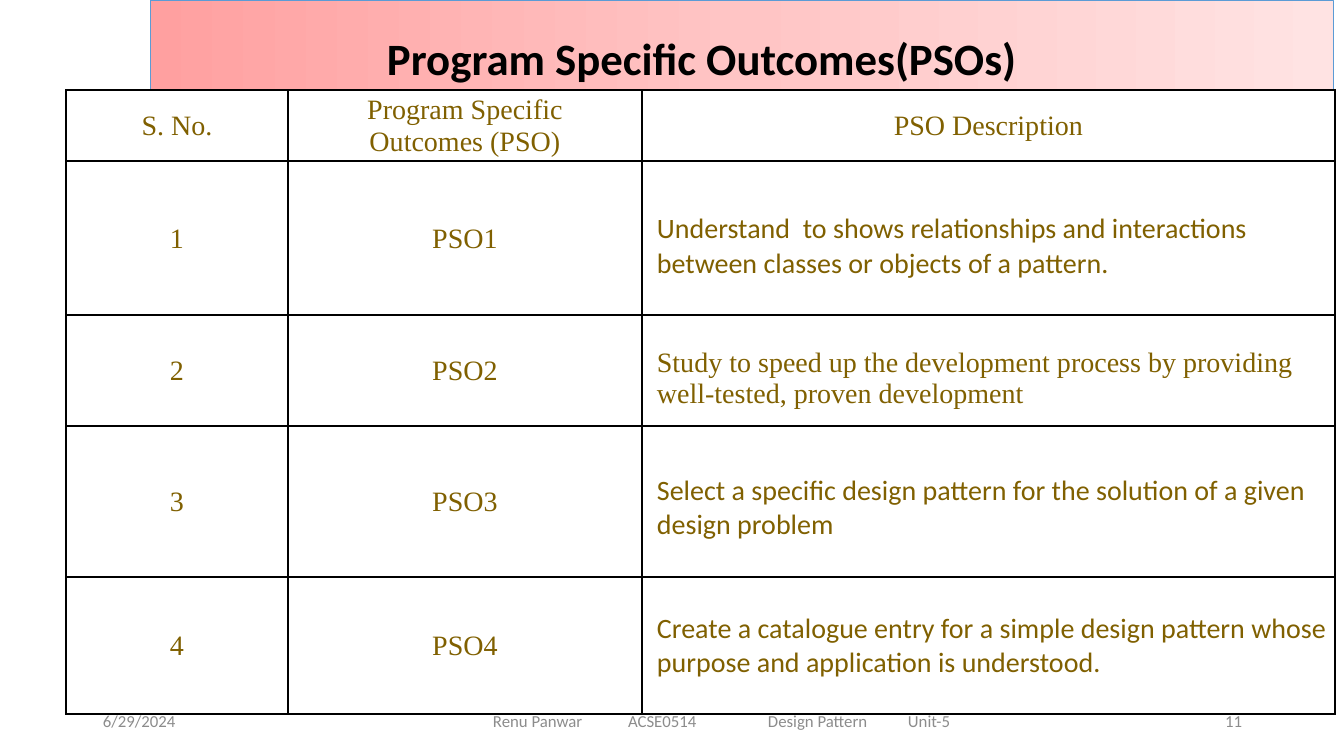
from copy import deepcopy
from typing import NamedTuple

from pptx import Presentation
from pptx.dml.color import RGBColor
from pptx.enum.shapes import MSO_SHAPE as Shape
from pptx.enum.text import MSO_ANCHOR as Anchor, MSO_AUTO_SIZE as AutoSize, PP_ALIGN as Align
from pptx.oxml import parse_xml
from pptx.oxml.ns import nsdecls, qn
from pptx.util import Emu, Pt

EMU_PER_PX = 9071
COLORS = {
    "pink_start": "FFA0A0", "pink_middle": "FFC5C5", "pink_end": "FFE3E3",
    "banner_line": "5B9BD5", "footer": "8C8C8C", "table_text": "806000",
    "black": "000000", "white": "FFFFFF",
}
SANS, SERIF = "Calibri", "Times New Roman"
CELL_INSET = 7
DESCRIPTION_INDENT = 15


class Outcome(NamedTuple):
    number: int
    description: str
    font: str
    height: int
    text_top: int


class Footer(NamedTuple):
    text: str
    left: int
    width: int
    align: Align
    inset: int = 10
    tabs: tuple[int, ...] = ()


HEADINGS = ("S. No.", "Program Specific\nOutcomes (PSO)", "PSO Description")
HEADING_HEIGHT = 71
COLUMN_WIDTHS = (222, 354, 693)
OUTCOMES = (
    Outcome(1, "Understand  to shows relationships and interactions between classes "
               "or objects of a pattern.", SANS, 154, 51),
    Outcome(2, "Study to speed up the development process by providing well-tested, "
               "proven development", SERIF, 111, 32),
    Outcome(3, "Select a specific design pattern for the solution of a given "
               "design problem", SANS, 151, 48),
    Outcome(4, "Create a catalogue entry for a simple design pattern whose purpose "
               "and application is understood.", SANS, 137, 35),
)
FOOTERS = (
    Footer("6/29/2024", 93, 302, Align.LEFT),
    Footer("Renu Panwar\tACSE0514\tDesign Pattern\tUnit-5", 446, 554, Align.LEFT,
           inset=47, tabs=(135, 275, 415)),
    Footer("11", 950, 302, Align.RIGHT),
)


def px(length: int) -> Emu:
    return Emu(length * EMU_PER_PX)


def color(name: str) -> RGBColor:
    return RGBColor.from_string(COLORS[name])


def write(frame, text: str, *, size: int, font: str, ink: str, align=Align.LEFT,
          bold=False, spacing=1.0, tabs=()) -> None:
    """Fill a text frame, one paragraph for each line of text."""
    frame.word_wrap = True
    for index, line in enumerate(text.split("\n")):
        para = frame.add_paragraph() if index else frame.paragraphs[0]
        para.alignment = align
        para.line_spacing = spacing
        if tabs:
            stops = "".join(f'<a:tab pos="{px(stop)}" algn="l"/>' for stop in tabs)
            properties = para._p.get_or_add_pPr()
            properties.append(parse_xml(f'<a:tabLst {nsdecls("a")}>{stops}</a:tabLst>'))
        span = para.add_run()
        span.text = line
        span.font.size = Pt(size)
        span.font.name = font
        span.font.bold = bold
        span.font.color.rgb = color(ink)


def add_banner(page) -> None:
    banner = page.shapes.add_shape(Shape.RECTANGLE, px(150), 0, px(1183), px(100))
    banner.shadow.inherit = False
    banner.line.color.rgb = color("banner_line")
    banner.line.width = Pt(0.5)
    banner.fill.gradient()
    banner.fill.gradient_angle = 0
    stop_list = banner.element.spPr.find(f'.//{qn("a:gsLst")}')
    stop_list.insert(1, deepcopy(stop_list[0]))
    names = ("pink_start", "pink_middle", "pink_end")
    for index, (stop, name) in enumerate(zip(banner.fill.gradient_stops, names)):
        stop.position = index / 2
        stop.color.rgb = color(name)


def add_footer(page, footer: Footer) -> None:
    box = page.shapes.add_textbox(px(footer.left), px(701), px(footer.width), px(40))
    frame = box.text_frame
    frame.vertical_anchor = Anchor.MIDDLE
    frame.margin_left = px(footer.inset)
    write(frame, footer.text, size=12, font=SANS, ink="footer",
          align=footer.align, tabs=footer.tabs)


def style_cell(cell, *, left=CELL_INSET, top=0, anchor=Anchor.MIDDLE) -> None:
    """Set the insets, the four borders and the fill of a cell."""
    cell.margin_left, cell.margin_right = px(left), px(CELL_INSET)
    cell.margin_top, cell.margin_bottom = px(top), 0
    cell.vertical_anchor = anchor
    for side in "LRTB":
        cell._tc.get_or_add_tcPr().append(parse_xml(
            f'<a:ln{side} {nsdecls("a")} w="{Pt(1)}"><a:solidFill>'
            f'<a:srgbClr val="{COLORS["black"]}"/></a:solidFill></a:ln{side}>'))
    cell.fill.solid()
    cell.fill.fore_color.rgb = color("white")


def add_centred_cell(cell, text: str) -> None:
    style_cell(cell)
    write(cell.text_frame, text, size=20, font=SERIF, ink="table_text",
          align=Align.CENTER, spacing=1.04)


def add_outcome_table(page) -> None:
    heights = (HEADING_HEIGHT, *(outcome.height for outcome in OUTCOMES))
    table = page.shapes.add_table(
        len(heights), len(COLUMN_WIDTHS), px(66), px(90),
        px(sum(COLUMN_WIDTHS)), px(sum(heights))).table
    table.first_row = table.horz_banding = False
    for column, width in zip(table.columns, COLUMN_WIDTHS):
        column.width = px(width)
    for row, height in zip(table.rows, heights):
        row.height = px(height)
    for index, heading in enumerate(HEADINGS):
        add_centred_cell(table.cell(0, index), heading)
    for row, outcome in enumerate(OUTCOMES, start=1):
        add_centred_cell(table.cell(row, 0), str(outcome.number))
        add_centred_cell(table.cell(row, 1), f"PSO{outcome.number}")
        cell = table.cell(row, 2)
        style_cell(cell, left=DESCRIPTION_INDENT, top=outcome.text_top, anchor=Anchor.TOP)
        write(cell.text_frame, outcome.description, size=20, font=outcome.font,
              ink="table_text")


def place_title(page) -> None:
    title = page.shapes.title
    title.left, title.top, title.width, title.height = map(px, (366, 26, 672, 64))
    title.text_frame.vertical_anchor = Anchor.TOP
    title.text_frame.auto_size = AutoSize.SHAPE_TO_FIT_TEXT
    write(title.text_frame, "Program Specific Outcomes(PSOs)", size=32, font=SANS,
          ink="black", align=Align.CENTER, bold=True)
    title.element.getparent().append(title.element)


def main() -> None:
    deck = Presentation()
    deck.slide_width, deck.slide_height = px(1344), px(756)
    page = deck.slides.add_slide(deck.slide_layouts.get_by_name("Title Only"))
    add_banner(page)
    add_outcome_table(page)
    for footer in FOOTERS:
        add_footer(page, footer)
    place_title(page)
    deck.save("out.pptx")


if __name__ == "__main__":
    main()
